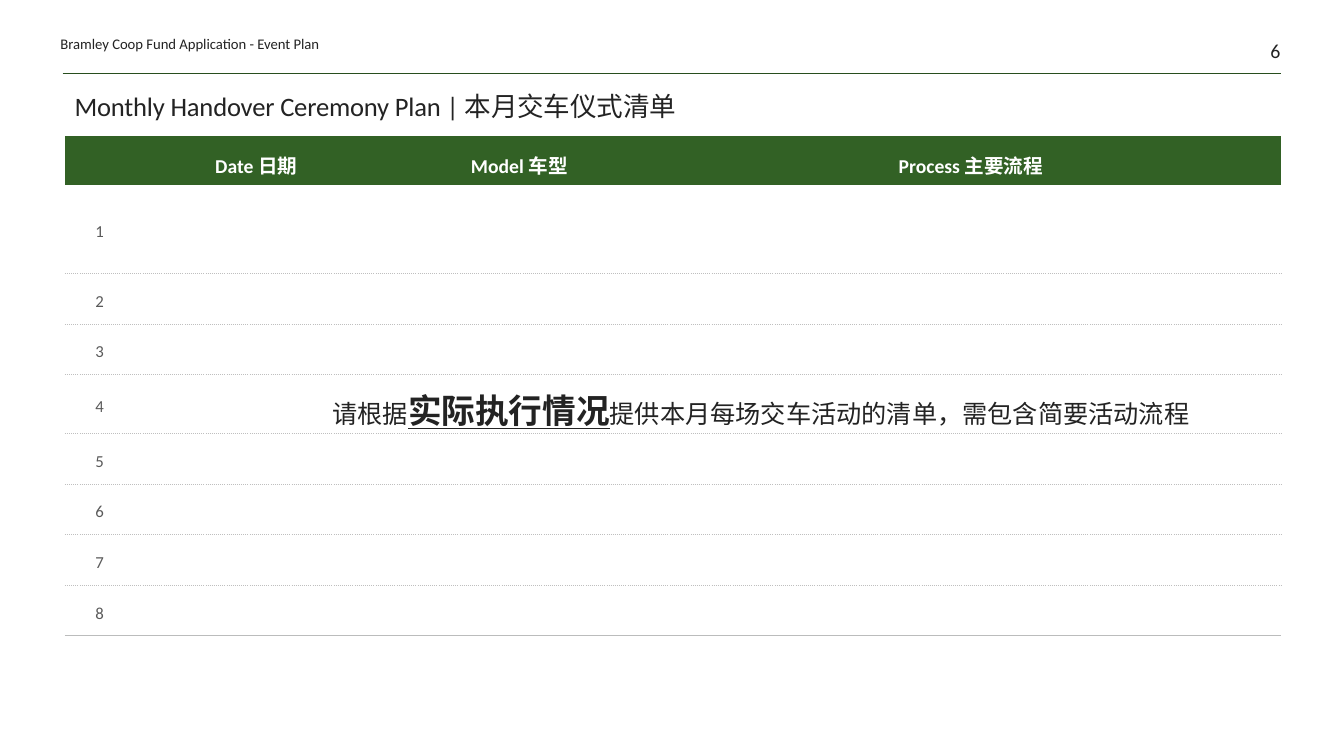
from lxml.etree import SubElement, fromstring
from pptx import Presentation
from pptx.dml.color import RGBColor
from pptx.enum.shapes import MSO_CONNECTOR
from pptx.enum.text import MSO_ANCHOR, PP_ALIGN
from pptx.oxml.ns import qn
from pptx.util import Pt

INK, GREEN, GREY = "232323", "326125", "5A5A5A"
NO_GRID = "{2D5ABB26-0587-4C30-8999-92F81FD0307C}"
NS = "http://schemas.openxmlformats.org/drawingml/2006/main"


def color(code):
    return RGBColor.from_string(code)


def write(frame, runs, align=PP_ALIGN.LEFT, space=1.0, tint=INK, **box):
    """Put (text, font values) runs in one paragraph; box holds frame or cell values."""
    for name, value in box.items():
        setattr(frame, name, value)
    para = getattr(frame, "text_frame", frame).paragraphs[0]
    para.alignment, para.line_spacing = align, space
    for text, style in runs:
        run = para.add_run()
        run.text = text
        run.font.name = "Calibri"
        run.font.color.rgb = color(tint)
        for name, value in style.items():
            setattr(run.font, name, value)
    return para


prs = Presentation()
prs.slide_width, prs.slide_height = Pt(960), Pt(540)
slide = prs.slides.add_slide(prs.slide_layouts[6])
shapes = slide.shapes

# Header rule
rule = shapes.add_connector(MSO_CONNECTOR.STRAIGHT, Pt(44.8), Pt(52.5), Pt(915), Pt(52.5))
rule.line.color.rgb = color("284E1E")
rule.line.width = Pt(0.5)
SubElement(rule._element.spPr, qn("a:effectLst"))

# Title
title = shapes.add_textbox(Pt(46.2), Pt(53.3), Pt(869), Pt(37.4)).text_frame
para = write(title, [("Monthly Handover Ceremony Plan | 本月交车仪式清单", {"size": Pt(19)})],
             space=0.85, word_wrap=True, vertical_anchor=MSO_ANCHOR.BOTTOM)
para.runs[0].font._element.set("spc", "-10")

# Ceremony table
heads = ["", "Date 日期", "Model 车型", "Process 主要流程"]
widths = [49.7, 174.2, 201.6, 443.5]
heights = [34.9, 62.9, 36.2, 36.2, 41.8] + [36.2] * 4
last = len(heights) - 1
table = shapes.add_table(len(heights), len(widths), Pt(46.3), Pt(97.3),
                         Pt(sum(widths)), Pt(sum(heights))).table
table.first_row = table.horz_banding = False
table._tbl.tblPr.find(qn("a:tableStyleId")).text = NO_GRID
for col, width in zip(table.columns, widths):
    col.width = Pt(width)

for r, height in enumerate(heights):
    table.rows[r].height = Pt(height)
    head = r == 0
    texts = heads if head else [str(r), "", "", ""]
    style = {"size": Pt(14 if head else 12), "bold": head}
    pad = Pt(4.3 if head else 8.6)
    for c, text in enumerate(texts):
        cell = table.cell(r, c)
        if text:
            write(cell, [(text, style)], PP_ALIGN.CENTER, 1.3, "FFFFFF" if head else GREY,
                  vertical_anchor=MSO_ANCHOR.MIDDLE, margin_left=Pt(8.6),
                  margin_right=Pt(8.6), margin_top=pad, margin_bottom=pad)
        if head:
            cell.fill.solid()
            cell.fill.fore_color.rgb = color(GREEN)
            continue
        cell.fill.background()
        wide, tone, dash = (Pt(0.5), "BBBCBC", "solid") if r == last else (Pt(0.25), "BFBFBF", "sysDot")
        edge = fromstring(f'<a:lnB xmlns:a="{NS}" w="{wide}"><a:solidFill><a:srgbClr val="{tone}"/>'
                          f'</a:solidFill><a:prstDash val="{dash}"/></a:lnB>')
        cell._tc.get_or_add_tcPr().insert(0, edge)

# Page number and running head
flush = dict.fromkeys(["margin_left", "margin_right", "margin_top", "margin_bottom"], 0)
for text, size, align, place in [
    ("6", 14.2, PP_ALIGN.RIGHT, (854.6, 0, 60, 44.6)),
    ("Bramley Coop Fund Application - Event Plan", 10.5, PP_ALIGN.LEFT, (43.2, 20.9, 300, 16.6)),
]:
    frame = shapes.add_textbox(*map(Pt, place)).text_frame
    write(frame, [(text, {"size": Pt(size)})], align, word_wrap=True,
          vertical_anchor=MSO_ANCHOR.BOTTOM, **flush)

# Instruction over the table
note = shapes.add_textbox(Pt(230.4), Pt(275), Pt(633.6), Pt(36)).text_frame
plain = {"size": Pt(18)}
write(note, [("请根据", plain),
             ("实际执行情况", {"size": Pt(24), "bold": True, "underline": True}),
             ("提供本月每场交车活动的清单，需包含简要活动流程", plain)], word_wrap=False)

prs.save("out.pptx")
